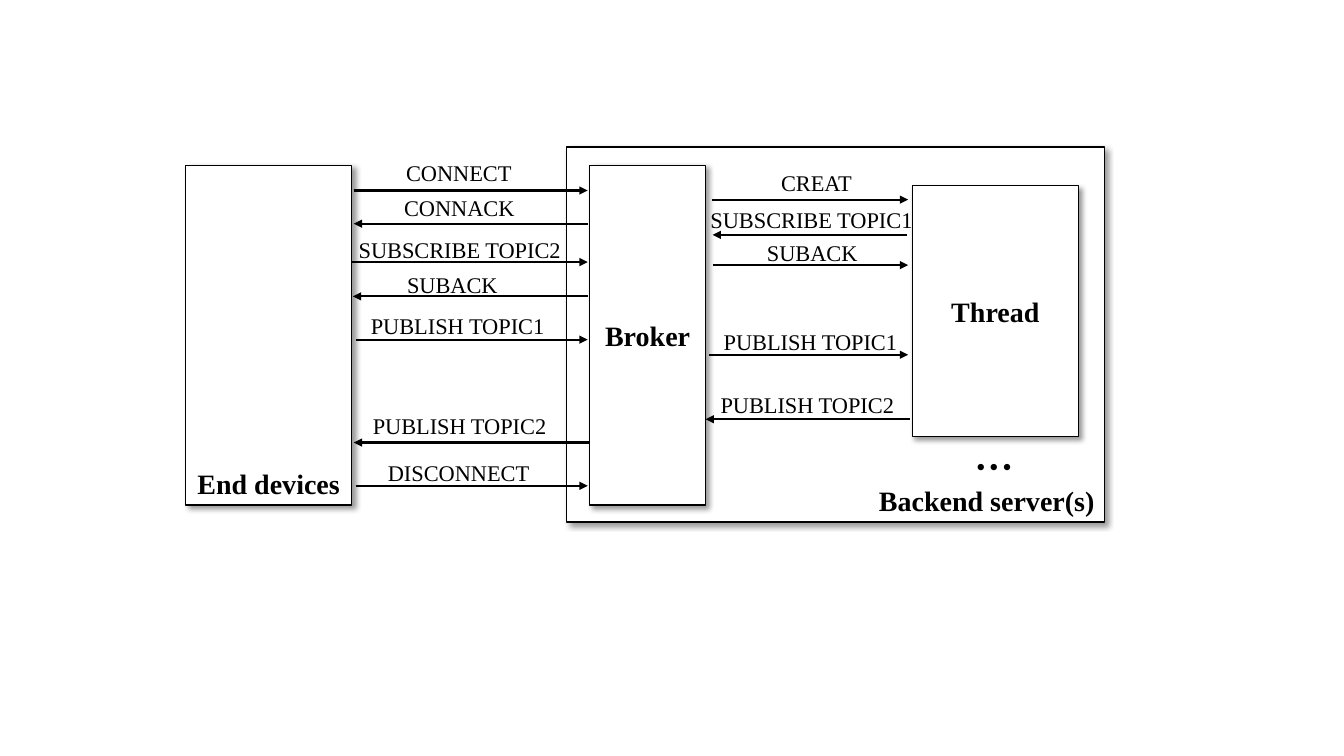
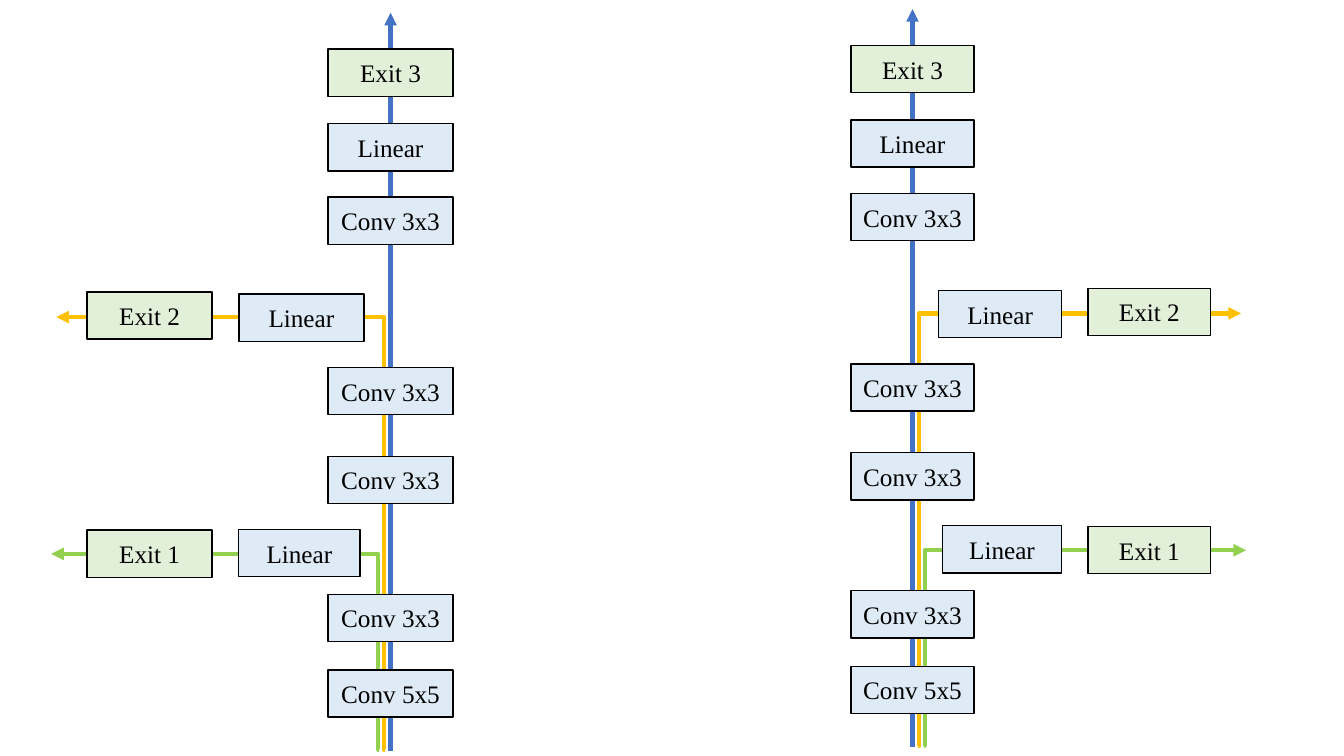
import dataclasses

import pptx
import pptx.dml.color
import pptx.enum.shapes
import pptx.enum.text
import pptx.oxml
import pptx.oxml.ns
import pptx.util

ALIGN = pptx.enum.text.PP_ALIGN
ANCHOR = pptx.enum.text.MSO_ANCHOR
CONNECTOR = pptx.enum.shapes.MSO_CONNECTOR


@dataclasses.dataclass(frozen=True)
class Theme:
    """Colours, font, type sizes and line widths of both slides."""

    font: str = "Times New Roman"
    ink: str = "000000"
    paper: str = "FFFFFF"
    layer: str = "DEEBF7"
    exit: str = "E2F0D9"
    trunk: str = "4472C4"
    second_exit: str = "FFC000"
    first_exit: str = "92D050"
    label_size: int = 16
    node_size: int = 18
    box_size: int = 20
    dots_size: int = 28
    border: float = 1
    message_line: float = 1.5
    lane_line: float = 3


THEME = Theme()
LABEL_HEIGHT = 26.6
NODE_WIDTH = 87.8
NODE_HEIGHT = 33.8

BOXES = (
    ("Backend server(s)", (404.6, 105.1, 384.5, 267.8), ALIGN.RIGHT, ANCHOR.BOTTOM),
    ("End devices", (132.5, 118.1, 118.8, 242.6), ALIGN.CENTER, ANCHOR.BOTTOM),
    ("Broker", (421.2, 118.1, 82.8, 242.6), ALIGN.CENTER, ANCHOR.MIDDLE),
    ("Thread", (651.6, 132.5, 118.8, 179.3), ALIGN.CENTER, ANCHOR.MIDDLE),
)

MESSAGES = (
    ("CONNECT", (283, 110.2, 90.7), (252.7, 419.8, 136.1)),
    ("CONNACK", (281.5, 135.4, 109.4), (419.8, 252.7, 159.8)),
    ("SUBSCRIBE TOPIC2", (249.1, 164.9, 160.6), (251.3, 419.8, 187.2)),
    ("SUBACK", (283.7, 190.1, 80), (419.8, 252, 211.7)),
    ("PUBLISH TOPIC1", (257.8, 219.6, 139), (254.2, 419.8, 242.6)),
    ("PUBLISH TOPIC2", (259.2, 290.9, 139), (421.2, 252.7, 316.1)),
    ("DISCONNECT", (270, 324.7, 116), (254.2, 419.8, 347)),
    ("CREAT", (550.8, 117.4, 65.5), (508.3, 648.7, 142.6)),
    ("SUBSCRIBE TOPIC1", (500.4, 144, 160.6), (648, 509, 167.8)),
    ("SUBACK", (540.7, 167, 80), (509, 648.7, 189.4)),
    ("PUBLISH TOPIC1", (509.8, 231.1, 139), (506.2, 648.7, 253.4)),
    ("PUBLISH TOPIC2", (507.6, 275.8, 139), (650.2, 504, 299.5)),
)

LANES = (
    (THEME.first_exit, (7.9, 532.8), (238.3, 393.1)),
    (THEME.trunk, (0, 533.5), (0, 6.5)),
    (THEME.second_exit, (3.9, 532.8), (234.7, 223.9)),
)

NODES = (
    ("Exit 3", 0, 32.4, 1),
    ("Linear", 0, 85.7, 1),
    ("Conv 3x3", 0, 138.2, 1),
    ("Exit 2", 169.2, 205.9, 1),
    ("Linear", 62.6, 207.4, 1),
    ("Conv 3x3", 0, 259.9, 1),
    ("Conv 3x3", 0, 323.3, 1),
    ("Exit 1", 169.2, 376, 1),
    ("Linear", 64, 375.5, 0.97),
    ("Conv 3x3", 0, 421.9, 1),
    ("Conv 5x5", 0, 475.9, 1),
)


def points(values):
    """Turn numbers into lengths in points."""
    return [pptx.util.Pt(value) for value in values]


def colour(value):
    """Turn a hex string into a colour."""
    return pptx.dml.color.RGBColor.from_string(value)


def apply_format(target, values):
    """Set each attribute named in a dict."""
    for name, value in values.items():
        setattr(target, name, value)


def write_text(shape, text, size, bold=False, align=ALIGN.LEFT, anchor=ANCHOR.TOP, wrap=True):
    """Fill a shape with one formatted paragraph."""
    frame = shape.text_frame
    apply_format(frame, {"word_wrap": wrap, "vertical_anchor": anchor})
    paragraph = frame.paragraphs[0]
    paragraph.text = text
    paragraph.alignment = align
    apply_format(paragraph.font, {"name": THEME.font, "size": pptx.util.Pt(size), "bold": bold})
    paragraph.font.color.rgb = colour(THEME.ink)


def add_box(slide, bounds, fill):
    """Add a bordered rectangle without shadow."""
    shape = slide.shapes.add_shape(pptx.enum.shapes.MSO_SHAPE.RECTANGLE, *points(bounds))
    shape.shadow.inherit = False
    shape.fill.solid()
    shape.fill.fore_color.rgb = colour(fill)
    shape.line.color.rgb = colour(THEME.ink)
    shape.line.width = pptx.util.Pt(THEME.border)
    return shape


def add_shadow(shape):
    """Give a shape a soft shadow to the lower right."""
    effects = shape._element.spPr.find(pptx.oxml.ns.qn("a:effectLst"))
    effects.append(pptx.oxml.parse_xml(
        f'<a:outerShdw {pptx.oxml.ns.nsdecls("a")} blurRad="{pptx.util.Pt(4)}" '
        f'dist="{pptx.util.Pt(3)}" dir="2700000" algn="tl" rotWithShape="0">'
        f'<a:srgbClr val="{THEME.ink}"><a:alpha val="40000"/></a:srgbClr></a:outerShdw>'))


def add_label(slide, text, bounds, size, bold=False):
    """Add a text box that grows with its text."""
    box = slide.shapes.add_textbox(*points(bounds))
    write_text(box, text, size, bold)
    box.text_frame.auto_size = pptx.enum.text.MSO_AUTO_SIZE.SHAPE_TO_FIT_TEXT


def add_arrow(slide, start, end, line_colour, width, kind=CONNECTOR.STRAIGHT):
    """Add an arrow; an elbow arrow turns right at its start."""
    arrow = slide.shapes.add_connector(kind, *points((*start, *end)))
    arrow.line.color.rgb = colour(line_colour)
    arrow.line.width = pptx.util.Pt(width)
    properties = arrow._element.spPr
    line = properties.find(pptx.oxml.ns.qn("a:ln"))
    namespace = pptx.oxml.ns.nsdecls("a")
    line.append(pptx.oxml.parse_xml(f'<a:tailEnd {namespace} type="triangle"/>'))
    properties.append(pptx.oxml.parse_xml(f"<a:effectLst {namespace}/>"))
    if kind == CONNECTOR.ELBOW:
        adjustments = next(properties.iter(pptx.oxml.ns.qn("a:avLst")))
        adjustments.append(pptx.oxml.parse_xml(
            f'<a:gd {namespace} name="adj1" fmla="val 400"/>'))


def add_tower(slide, center, drop, width, side):
    """Draw one network tower whose exits lead to the given side."""
    scale = width / NODE_WIDTH
    for lane_colour, (start_offset, start_y), (end_offset, end_y) in LANES:
        start = (center + side * start_offset, start_y + drop)
        end = (center + side * end_offset * scale, end_y + drop)
        kind = CONNECTOR.ELBOW if end_offset else CONNECTOR.STRAIGHT
        add_arrow(slide, start, end, lane_colour, THEME.lane_line, kind)
    for text, offset, top, ratio in NODES:
        node_width = width * ratio
        left = center + side * offset * scale - node_width / 2
        fill = THEME.exit if text.startswith("Exit") else THEME.layer
        node = add_box(slide, (left, top + drop, node_width, NODE_HEIGHT), fill)
        write_text(node, text, THEME.node_size, align=ALIGN.CENTER, anchor=ANCHOR.MIDDLE)


def build_message_flow(slide):
    """Draw the messages between devices, broker and thread."""
    for text, bounds, align, anchor in BOXES:
        box = add_box(slide, bounds, THEME.paper)
        add_shadow(box)
        write_text(box, text, THEME.box_size, True, align, anchor)
    for text, (left, top, width), (start, end, y) in MESSAGES:
        add_arrow(slide, (start, y), (end, y), THEME.ink, THEME.message_line)
        add_label(slide, text, (left, top, width, LABEL_HEIGHT), THEME.label_size)
    add_label(slide, "···", (689, 311.8, 43.2, 41), THEME.dots_size, True)


def build_exit_networks(slide):
    """Draw two mirrored networks with early exits."""
    add_tower(slide, 651.8, 0, NODE_WIDTH, 1)
    add_tower(slide, 279, 2.6, 89.3, -1)


def main():
    """Build and save the presentation."""
    presentation = pptx.Presentation()
    apply_format(presentation, {
        "slide_width": pptx.util.Pt(960), "slide_height": pptx.util.Pt(540)})
    blank = presentation.slide_layouts.get_by_name("Blank")
    for build in (build_message_flow, build_exit_networks):
        build(presentation.slides.add_slide(blank))
    presentation.save("out.pptx")


if __name__ == "__main__":
    main()
